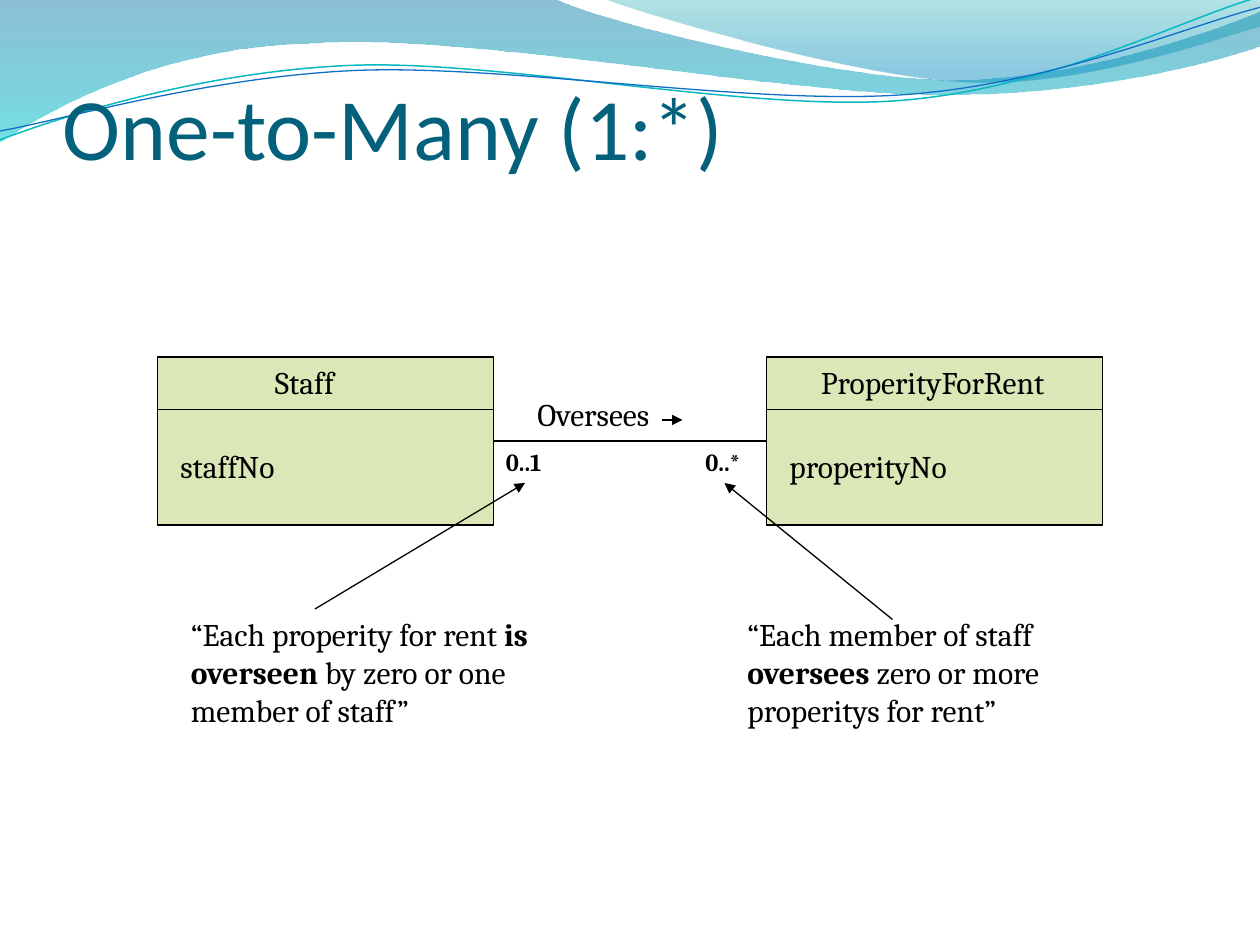
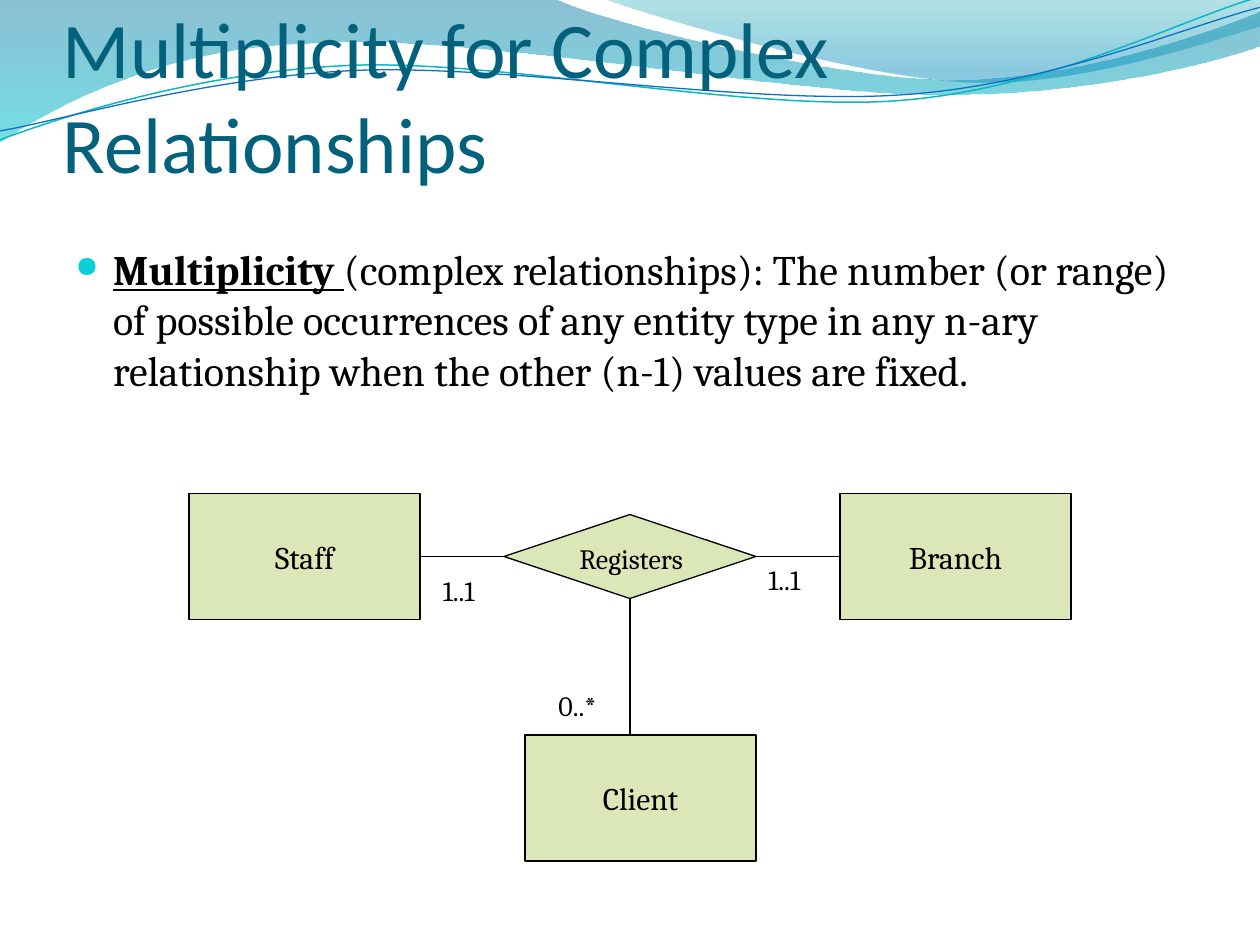
from pptx import Presentation
from pptx.dml.color import RGBColor
from pptx.enum.shapes import MSO_CONNECTOR, MSO_SHAPE
from pptx.enum.text import MSO_ANCHOR, PP_ALIGN
from pptx.oxml.ns import qn
from pptx.util import Cm, Pt
from lxml import etree

RECTANGLE = MSO_SHAPE.RECTANGLE
DIAMOND = MSO_SHAPE.FLOWCHART_DECISION
STRAIGHT = MSO_CONNECTOR.STRAIGHT
TOP, MIDDLE, BOTTOM = MSO_ANCHOR.TOP, MSO_ANCHOR.MIDDLE, MSO_ANCHOR.BOTTOM
CENTER = PP_ALIGN.CENTER

HEADING_FONT, BODY_FONT = "Calibri", "Cambria"
COLORS = {
    "title": "04617B", "text": "000000", "entity": "DBE7B6", "bullet": "0BD0D9",
    "teal_line": "0AB8BF", "blue_line": "0F6FC6",
    "wide_top": "0074A1", "wide_bottom": "00C6CF",
    "right_top": "00A1A9", "right_bottom": "008BBF",
}

WIDE_BAND = [
    [(0, 0)], [(11.18, -0.03)],
    [(12.09, 0.43), (16.87, 1.6), (19.25, 1.6)],
    [(21.67, 1.6), (24.33, 0.66), (25.4, 0.23)],
    [(25.43, 0.91)],
    [(24.97, 1.12), (22.1, 1.93), (18.95, 1.91)],
    [(15.8, 1.91), (9.7, 0.71), (6.53, 0.86)],
    [(3.28, 0.91), (1.17, 2.11), (-0.03, 2.87)],
    [(0, 0)],
]
RIGHT_BAND = [
    [(12.17, -0.03)],
    [(12.93, 0.28), (17.32, 1.57), (19.53, 1.65)],
    [(21.74, 1.75), (24.41, 0.81), (25.4, 0.53)],
    [(25.4, 0)],
    [(12.17, -0.03)],
]
TEAL_WAVE = [
    [(0, 2.82)],
    [(1.22, 2.36), (4.01, 1.45), (7.04, 1.32)],
    [(10.03, 1.19), (15.06, 2.26), (18.11, 2.03)],
    [(21.16, 1.8), (23.83, 0.38), (25.35, -0.05)],
]
BLUE_WAVE = [
    [(0, 2.64)],
    [(1.19, 2.44), (4.17, 1.55), (7.19, 1.42)],
    [(10.24, 1.3), (15.16, 2.13), (18.21, 1.91)],
    [(21.23, 1.7), (23.9, 0.53), (25.4, 0.15)],
]


def color(name):
    """Return the named colour."""
    return RGBColor.from_string(COLORS[name])


def grid(count):
    """Return a length in grid units, twelve to 2.54 cm."""
    return round(Cm(2.54) * count / 12)


def add_outline(slide, outline, close):
    """Draw an outline whose three-point parts are cubic curves."""
    points = [(Cm(x), Cm(y)) for part in outline for x, y in part]
    builder = slide.shapes.build_freeform(*points[0])
    builder.add_line_segments(points[1:], close=close)
    shape = builder.convert_to_shape()
    shape.shadow.inherit = False
    segments = iter(list(shape._element.iter(qn("a:lnTo"))))
    for part in outline[1:]:
        group = [next(segments) for point in part]
        if len(group) == 3:
            curve = etree.Element(qn("a:cubicBezTo"))
            group[0].addprevious(curve)
            for segment in group:
                curve.append(segment[0])
                segment.getparent().remove(segment)
    return shape


def add_band(slide, outline, stops):
    """Fill an outline with a see-through gradient running downwards."""
    shape = add_outline(slide, outline, True)
    shape.line.fill.background()
    shape.fill.gradient()
    shape.fill.gradient_angle = 270
    for stop, (position, name, opacity) in zip(shape.fill.gradient_stops, stops):
        stop.position = position
        stop.color.rgb = color(name)
    tags = shape._element.spPr.iter(qn("a:srgbClr"))
    for tag, (position, name, opacity) in zip(tags, stops):
        etree.SubElement(tag, qn("a:alpha"), val=str(opacity * 1000))


def add_wave(slide, outline, name, width):
    """Draw an open curved line."""
    shape = add_outline(slide, outline, False)
    shape.fill.background()
    shape.line.color.rgb = color(name)
    shape.line.width = Pt(width)


def add_header(slide):
    """Draw the bands and waves along the top edge."""
    add_band(slide, WIDE_BAND, [(0, "wide_top", 45), (1, "wide_bottom", 55)])
    add_band(slide, RIGHT_BAND, [(0, "right_top", 30), (0.8, "right_bottom", 45)])
    add_wave(slide, TEAL_WAVE, "teal_line", 0.85)
    add_wave(slide, BLUE_WAVE, "blue_line", 0.75)


def style_paragraph(paragraph, size, font_name=BODY_FONT, color_name="text"):
    """Set the font of a whole paragraph."""
    paragraph.font.name = font_name
    paragraph.font.size = Pt(size)
    paragraph.font.color.rgb = color(color_name)


def add_text(slide, left, top, width, height, runs, anchor=TOP):
    """Place a wrapping text box of (text, bold) runs and return its frame."""
    box = slide.shapes.add_textbox(*map(grid, (left, top, width, height)))
    frame = box.text_frame
    frame.word_wrap = True
    frame.vertical_anchor = anchor
    for text, bold in runs:
        run = frame.paragraphs[0].add_run()
        run.text = text
        run.font.bold = bold
    return frame


def add_label(slide, left, top, width, runs, size=18, lines=1, bold=None):
    """Place a label whose height follows from its type size and lines."""
    if isinstance(runs, str):
        runs = [(runs, bold)]
    frame = add_text(slide, left, top, width, 1.2 + 0.2 * size * lines, runs)
    style_paragraph(frame.paragraphs[0], size)


def add_title(slide, top, width, text, size):
    """Place the slide title, standing on the bottom of its box."""
    frame = add_text(slide, 6, top, width, 15, [(text, None)], BOTTOM)
    frame.margin_left = frame.margin_right = frame.margin_bottom = 0
    style_paragraph(frame.paragraphs[0], size, HEADING_FONT, "title")


def add_definition(slide, left, top, width, height, term, meaning):
    """Place a bulleted definition with its term underlined."""
    runs = [(term, True), (meaning, False)]
    paragraph = add_text(slide, left, top, width, height, runs).paragraphs[0]
    paragraph.runs[0].font.underline = True
    style_paragraph(paragraph, 24)
    properties = paragraph._p.get_or_add_pPr()
    properties.set("marL", str(Cm(0.76)))
    properties.set("indent", str(-Cm(0.76)))
    bullet_color = etree.Element(qn("a:buClr"))
    etree.SubElement(bullet_color, qn("a:srgbClr"), val=COLORS["bullet"])
    bullet_size = etree.Element(qn("a:buSzPct"), val="70000")
    bullet = etree.Element(qn("a:buChar"), char="●")
    for position, element in enumerate((bullet_color, bullet_size, bullet)):
        properties.insert(position, element)


def add_line(slide, start, end, arrow=False):
    """Draw a thin straight line, with an arrowhead at its end if asked."""
    connector = slide.shapes.add_connector(STRAIGHT, *map(grid, start + end))
    connector.line.color.rgb = color("text")
    connector.line.width = Pt(0.75)
    properties = connector._element.spPr
    if arrow:
        etree.SubElement(properties.find(qn("a:ln")), qn("a:tailEnd"), type="triangle")
    etree.SubElement(properties, qn("a:effectLst"))


def add_figure(slide, kind, left, top, width, height):
    """Draw a filled and outlined diagram shape."""
    shape = slide.shapes.add_shape(kind, *map(grid, (left, top, width, height)))
    shape.shadow.inherit = False
    shape.fill.solid()
    shape.fill.fore_color.rgb = color("entity")
    shape.line.color.rgb = color("text")
    shape.line.width = Pt(0.75)
    return shape


def add_class_box(slide, left, top, name, name_offset, name_width, attribute):
    """Draw an entity with a name row and an attribute below it."""
    width = 32
    add_figure(slide, RECTANGLE, left, top, width, 16)
    add_line(slide, (left, top + 5), (left + width, top + 5))
    add_label(slide, left + name_offset, top, name_width, name)
    add_label(slide, left + 1, top + 8, 28, attribute)


def add_association(slide, left, top, width, name, ends):
    """Draw a named association with a multiplicity at each end."""
    add_line(slide, (left, top), (left + width, top))
    add_label(slide, left + 3, top - 5, 18, name)
    add_line(slide, (left + 16, top - 2), (left + 18, top - 2), arrow=True)
    for end_left, text in zip((left, left + width - 7), ends):
        add_label(slide, end_left, top, 7, text, 14, bold=True)


def add_note(slide, left, top, runs, start, end):
    """Place an explanation with an arrow, offset from it, to its subject."""
    add_label(slide, left, top, 38, runs, lines=3)
    arrow_ends = [(left + x, top + y) for x, y in (start, end)]
    add_line(slide, *arrow_ends, arrow=True)


def add_entity(slide, left, top, name):
    """Draw a plain entity with its name in the middle."""
    frame = add_figure(slide, RECTANGLE, left, top, 22, 12).text_frame
    frame.word_wrap = False
    frame.vertical_anchor = MIDDLE
    paragraph = frame.paragraphs[0]
    paragraph.text = name
    paragraph.alignment = CENTER
    style_paragraph(paragraph, 18)


def add_ternary_relationship(slide, left, top):
    """Draw three entities joined by one relationship."""
    middle = top + 6
    add_entity(slide, left, top, "Staff")
    add_entity(slide, left + 32, top + 23, "Client")
    add_entity(slide, left + 62, top, "Branch")
    add_figure(slide, DIAMOND, left + 30, top + 2, 24, 8)
    add_line(slide, (left + 30, middle), (left + 22, middle))
    add_line(slide, (left + 54, middle), (left + 62, middle))
    add_line(slide, (left + 42, top + 10), (left + 42, top + 23))
    add_label(slide, left + 36, top + 4, 13, "Registers", 16)
    for x, y, text in ((23, 7, "1..1"), (34, 18, "0..*"), (54, 6, "1..1")):
        add_label(slide, left + x, top + y, 8, text, 16)


def build_one_to_many(slide):
    """Build the slide on one-to-many relationships."""
    add_header(slide)
    add_title(slide, 2, 108, "One-to-Many (1:*)", 50)
    add_class_box(slide, 15, 34, "Staff", 10, 16, "staffNo")
    add_class_box(slide, 73, 34, "ProperityForRent", 4, 28, "properityNo")
    add_association(slide, 47, 42, 26, "Oversees", ("0..1", "0..*"))
    add_note(slide, 17, 58, [
        ("“Each properity for rent ", False), ("is overseen ", True),
        ("by zero or one member of staff”", False)], (13, 0), (33, -12))
    add_note(slide, 70, 58, [
        ("“Each member of staff ", False), ("oversees", True),
        (" zero or more properitys for rent”", False)], (15, 1), (-1, -12))


def build_complex_multiplicity(slide):
    """Build the slide on multiplicity of complex relationships."""
    add_header(slide)
    add_title(slide, 3, 85, "Multiplicity for Complex Relationships", 45)
    add_definition(
        slide, 6, 22.6, 108, 59.4, "Multiplicity ",
        "(complex relationships): The number (or range) of possible occurrences of any "
        "entity type in any n-ary relationship when the other (n-1) values are fixed.")
    add_ternary_relationship(slide, 18, 47)


presentation = Presentation()
presentation.slide_width = Cm(25.4)
presentation.slide_height = Cm(19.05)
blank_layout = presentation.slide_layouts[6]
for build in (build_one_to_many, build_complex_multiplicity):
    build(presentation.slides.add_slide(blank_layout))
presentation.save("out.pptx")
